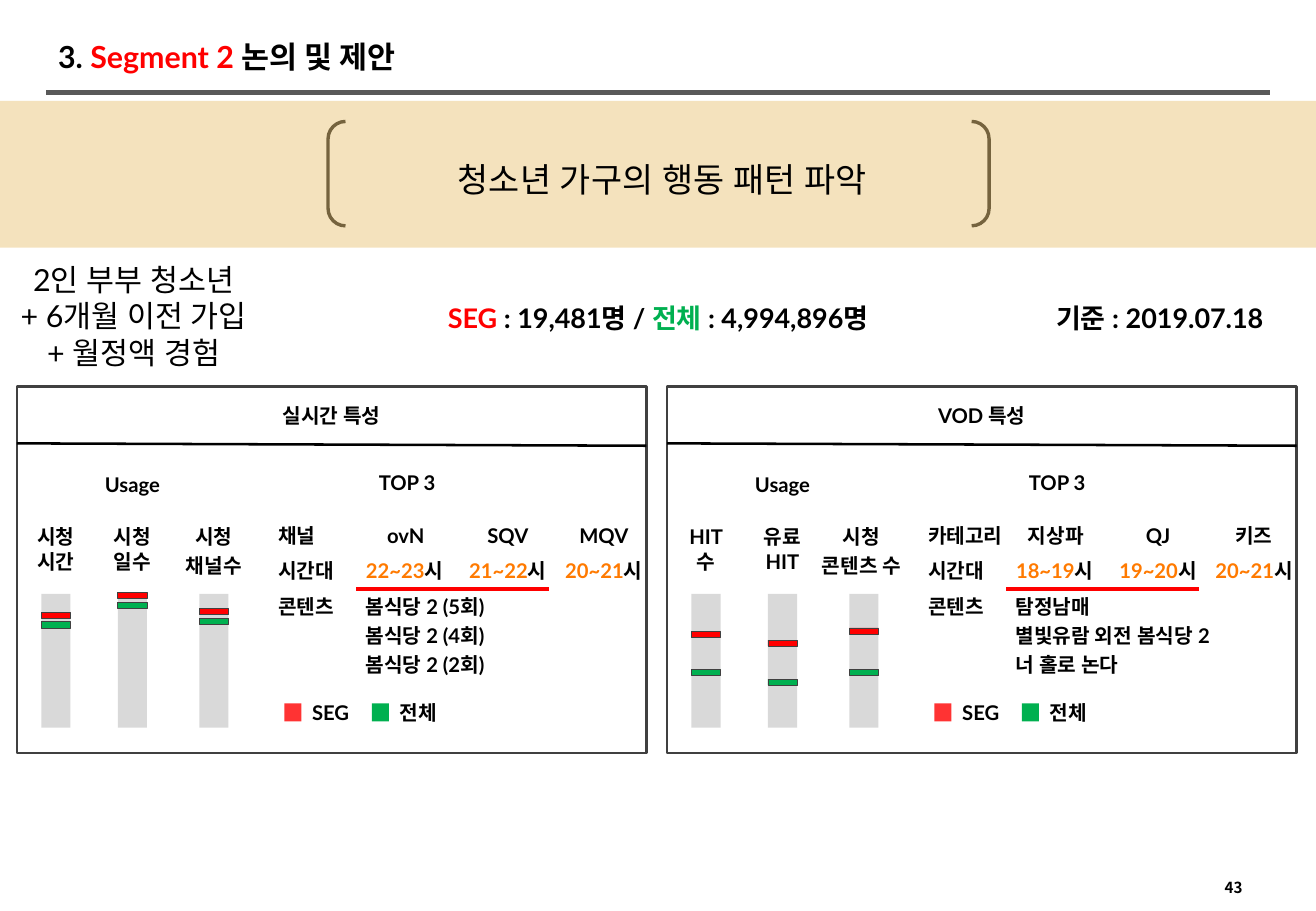
from dataclasses import dataclass

from pptx import Presentation
from pptx.dml.color import RGBColor
from pptx.enum.shapes import MSO_CONNECTOR, MSO_SHAPE
from pptx.enum.text import MSO_ANCHOR, PP_ALIGN
from pptx.oxml.ns import qn
from pptx.util import Inches, Pt
from lxml.etree import SubElement

BLACK = RGBColor(0x00, 0x00, 0x00)
WHITE = RGBColor(0xFF, 0xFF, 0xFF)
RED = RGBColor(0xFF, 0x00, 0x00)
GREEN = RGBColor(0x00, 0xB0, 0x50)
ORANGE = RGBColor(0xFF, 0x7A, 0x00)
SAND = RGBColor(0xEA, 0xC6, 0x7C)
RULE_GRAY = RGBColor(0x59, 0x59, 0x59)
BORDER_GRAY = RGBColor(0x40, 0x40, 0x40)
BAR_GRAY = RGBColor(0xD9, 0xD9, 0xD9)

CENTER = PP_ALIGN.CENTER
LEFT = PP_ALIGN.LEFT
BODY_FONT = "Lato"
NUMBER_FONT = "Noto Sans CJK KR"

BAR_LEFTS = (0.34, 0.97, 1.64)
ROW_TOPS = (4.26, 4.55, 4.84)
CHANNEL_CENTERS = (3.34, 4.18, 4.97)
TIME_CENTERS = (3.33, 4.18, 4.97)
PROGRAM_TOP, PROGRAM_STEP = 4.84, 0.24


@dataclass
class Usage:
    lines: list
    center: float
    width: float
    segment_top: float
    total_top: float


@dataclass
class Panel:
    left: float
    title: str
    usages: list
    row_labels: list
    channels: list
    times: list
    programs: list


REALTIME = Panel(
    0.14, "실시간 특성",
    [Usage(["시청 시간"], 0.46, 0.63, 5.04, 5.12),
     Usage(["시청 일수"], 1.09, 0.63, 4.88, 4.96),
     Usage(["시청", "채널수"], 1.76, 0.71, 5.01, 5.09)],
    ["채널", "시간대", "콘텐츠"],
    ["ovN", "SQV", "MQV"],
    ["22~23", "21~22", "20~21"],
    ["봄식당 2 (5회)", "봄식당 2 (4회)", "봄식당 2 (2회)"])

VOD = Panel(
    5.49, "VOD 특성",
    [Usage(["HIT 수"], 0.46, 0.63, 5.2, 5.51),
     Usage(["유료 HIT"], 1.09, 0.63, 5.27, 5.59),
     Usage(["시청", "콘텐츠 수"], 1.74, 0.97, 5.17, 5.51)],
    ["카테고리", "시간대", "콘텐츠"],
    ["지상파", "QJ", "키즈"],
    ["18~19", "19~20", "20~21"],
    ["탐정남매", "별빛유람 외전 봄식당 2", "너 홀로 논다"])


def add_text(page, box, paragraphs, size=12, align=CENTER, bold=True,
             font=BODY_FONT, gap=0.2, anchor=MSO_ANCHOR.TOP):
    """Each paragraph is a string or a list of (text, colour) spans; gap is a share of the size."""
    frame = page.shapes.add_textbox(*map(Inches, box)).text_frame
    frame.word_wrap = True
    frame.vertical_anchor = anchor
    for index, spans in enumerate(paragraphs):
        para = frame.paragraphs[0] if index == 0 else frame.add_paragraph()
        para.alignment = align
        if index:
            para.space_before = Pt(size * gap)
        if isinstance(spans, str):
            spans = [(spans, BLACK)]
        for text, color in spans:
            span = para.add_run()
            span.text = text
            span.font.size = Pt(size)
            span.font.bold = bold
            span.font.name = font
            span.font.color.rgb = color
            SubElement(span.font._element, qn("a:ea"), typeface=font)


def add_centered(page, center, top, width, paragraphs, height=0.3):
    add_text(page, (center - width / 2, top, width, height), paragraphs)


def add_block(page, box, fill, line=None, weight=0.5, opacity=100, kind=MSO_SHAPE.RECTANGLE):
    block = page.shapes.add_shape(kind, *map(Inches, box))
    block.shadow.inherit = False
    block.fill.solid()
    block.fill.fore_color.rgb = fill
    if opacity < 100:
        color = block._element.spPr.find(qn("a:solidFill"))[0]
        SubElement(color, qn("a:alpha"), val=str(opacity * 1000))
    if line is None:
        block.line.fill.background()
    else:
        block.line.color.rgb = line
        block.line.width = Pt(weight)


def add_line(page, start, end, color, weight):
    line = page.shapes.add_connector(MSO_CONNECTOR.STRAIGHT, *map(Inches, start + end))
    line.line.color.rgb = color
    line.line.width = Pt(weight)
    SubElement(line._element.spPr, qn("a:effectLst"))


def add_usage(page, usage, shift, bar_left):
    left = bar_left + shift
    add_block(page, (left, 4.89, 0.24, 1.1), BAR_GRAY)
    for top, color in ((usage.total_top, GREEN), (usage.segment_top, RED)):
        add_block(page, (left, top, 0.24, 0.05), color, BORDER_GRAY)
    add_centered(page, usage.center + shift, 4.27, usage.width, usage.lines, 0.5)


def add_legend(page, shift):
    for left, label, color, opacity in ((2.34, "SEG", RED, 80), (3.06, "전체", GREEN, 100)):
        add_block(page, (left + shift, 5.79, 0.14, 0.15), color, opacity=opacity)
        add_text(page, (left + shift + 0.13, 5.72, 0.7, 0.3), [label], align=LEFT)


def add_panel(page, panel):
    shift = panel.left - REALTIME.left
    add_block(page, (panel.left, 3.18, 5.18, 3.02), WHITE, BORDER_GRAY, 1.5)
    add_line(page, (panel.left, 3.65), (panel.left + 5.18, 3.67), BLACK, 1.5)
    add_centered(page, 2.73 + shift, 3.27, 1.87, [panel.title])
    add_centered(page, 1.09 + shift, 3.84, 0.87, ["Usage"])
    add_centered(page, 3.35 + shift, 3.82, 0.71, ["TOP 3"])

    for usage, bar_left in zip(panel.usages, BAR_LEFTS):
        add_usage(page, usage, shift, bar_left)
    for label, top in zip(panel.row_labels, ROW_TOPS):
        add_text(page, (2.19 + shift, top, 0.87, 0.3), [label], align=LEFT)
    for channel, center in zip(panel.channels, CHANNEL_CENTERS):
        add_centered(page, center + shift, ROW_TOPS[0], 1, [channel])
    for hours, center in zip(panel.times, TIME_CENTERS):
        add_centered(page, center + shift, ROW_TOPS[1], 1, [[(hours, ORANGE), ("시", BLACK)]])
    for index, program in enumerate(panel.programs):
        top = PROGRAM_TOP + index * PROGRAM_STEP
        add_text(page, (2.91 + shift, top, 2.4, 0.3), [program], align=LEFT)

    add_legend(page, shift)
    add_line(page, (2.93 + shift, 4.85), (4.52 + shift, 4.85), RED, 2)


def add_header(page):
    add_text(page, (0.38, 0.27, 7.76, 0.38),
             [[("3. ", BLACK), ("Segment 2 ", RED), ("논의 및 제안", BLACK)]],
             size=18, align=LEFT, anchor=MSO_ANCHOR.MIDDLE)
    add_line(page, (0.38, 0.76), (10.45, 0.76), RULE_GRAY, 3)
    add_block(page, (2.7, 1, 5.44, 0.86), WHITE, BLACK, 2, kind=MSO_SHAPE.DOUBLE_BRACKET)
    add_block(page, (0, 0.83, 10.83, 1.21), SAND, opacity=50)
    add_text(page, (2.73, 1.26, 5.44, 0.44), ["청소년 가구의 행동 패턴 파악"], size=20, bold=False)


def add_summary(page):
    add_text(page, (0, 2.1, 2.2, 1.01),
             ["2인 부부 청소년", "+ 6개월 이전 가입", "+ 월정액 경험"],
             size=18, bold=False, gap=0)
    add_text(page, (2.94, 2.43, 4.95, 0.37),
             [[("SEG", RED), (" : 19,481명 / ", BLACK),
               ("전체 ", GREEN), (": 4,994,896명", BLACK)]], size=16)
    add_text(page, (8.49, 2.43, 2.11, 0.37), ["기준 : 2019.07.18"], size=16)


def main():
    deck = Presentation()
    deck.slide_width = Inches(10.83)
    deck.slide_height = Inches(7.5)
    page = deck.slides.add_slide(deck.slide_layouts[6])
    add_header(page)
    add_summary(page)
    for panel in (REALTIME, VOD):
        add_panel(page, panel)
    add_text(page, (9.98, 7.18, 0.47, 0.25), ["43"], size=9, align=LEFT, font=NUMBER_FONT)
    deck.save("out.pptx")


if __name__ == "__main__":
    main()
